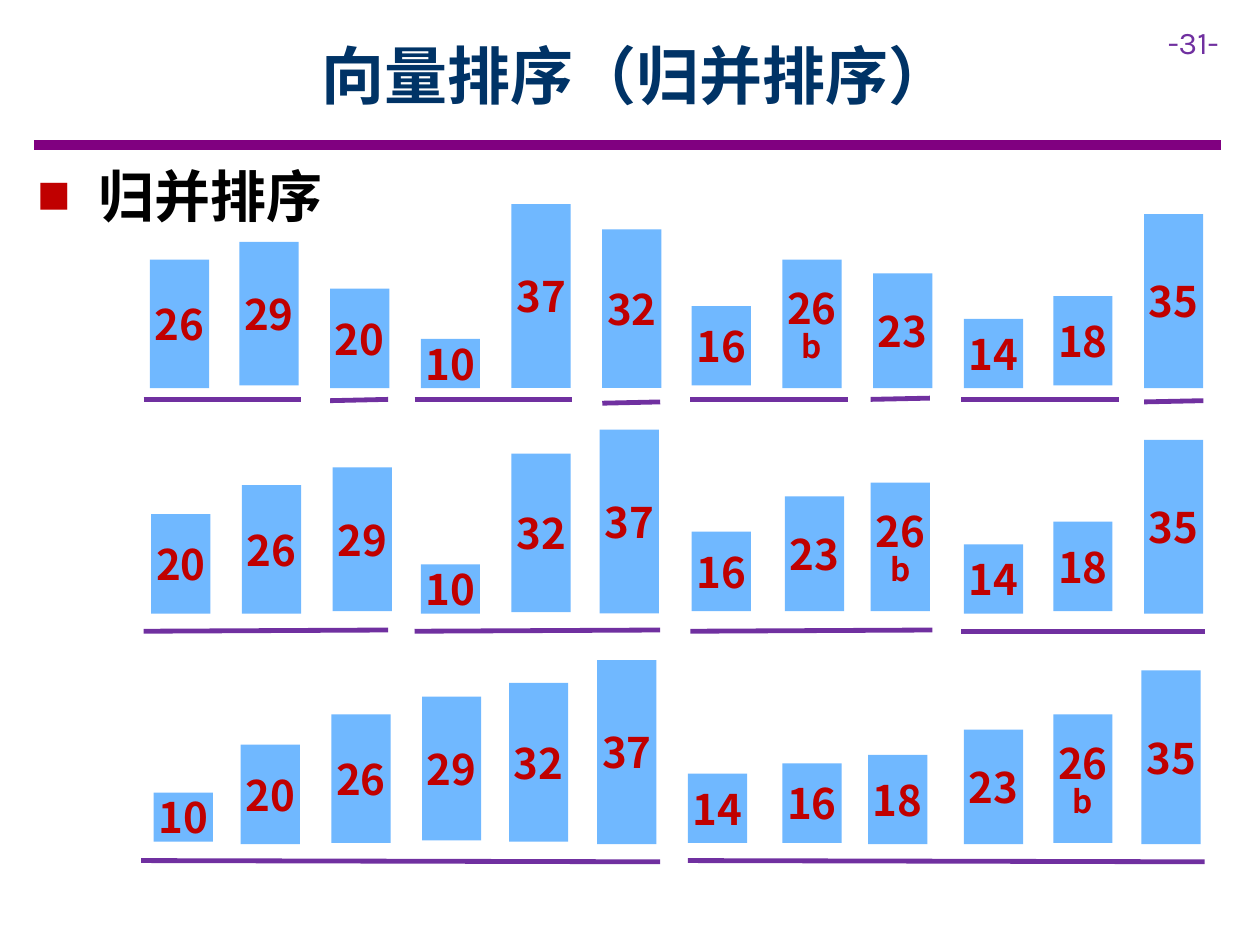
from dataclasses import dataclass

from pptx import Presentation
from pptx.dml.color import RGBColor
from pptx.enum.shapes import MSO_CONNECTOR, MSO_SHAPE
from pptx.enum.text import MSO_ANCHOR, PP_ALIGN
from pptx.oxml.ns import qn
from pptx.shapes.base import BaseShape
from pptx.slide import Slide
from pptx.util import Inches, Pt
from lxml.etree import SubElement

NAVY = RGBColor(0x00, 0x33, 0x66)
BLACK = RGBColor(0x00, 0x00, 0x00)
RED = RGBColor(0xC0, 0x00, 0x00)
SKY = RGBColor(0x70, 0xB8, 0xFF)
PURPLE = RGBColor(0x70, 0x30, 0xA0)
PLUM = RGBColor(0x80, 0x00, 0x80)
HEADING_FONT = "Noto Sans CJK SC"
NUMBER_FONT = "Karla"
BAR_WIDTH = 0.47
BAR_HEIGHTS = {
    "10": 0.39, "14": 0.55, "16": 0.63, "18": 0.71, "20": 0.79, "23": 0.91,
    "26": 1.02, "26b": 1.02, "29": 1.14, "32": 1.26, "35": 1.38, "37": 1.46,
}


@dataclass(frozen=True)
class Bar:
    label: str
    left: float
    top: float


@dataclass(frozen=True)
class Underline:
    left: float
    start: float
    right: float
    end: float


@dataclass(frozen=True)
class MergePass:
    bars: tuple[Bar, ...]
    underlines: tuple[Underline, ...]


PASSES = (
    MergePass(
        (
            Bar("26", 1.19, 2.06), Bar("29", 1.9, 1.92), Bar("20", 2.62, 2.29),
            Bar("10", 3.34, 2.69), Bar("37", 4.06, 1.62), Bar("32", 4.78, 1.82),
            Bar("16", 5.49, 2.43), Bar("26b", 6.21, 2.06), Bar("23", 6.93, 2.17),
            Bar("14", 7.65, 2.53), Bar("18", 8.36, 2.35), Bar("35", 9.08, 1.7),
        ),
        (
            Underline(1.14, 3.17, 2.39, 3.17), Underline(2.62, 3.18, 3.08, 3.17),
            Underline(3.29, 3.17, 4.54, 3.17), Underline(4.78, 3.2, 5.24, 3.19),
            Underline(5.48, 3.17, 6.73, 3.17), Underline(6.91, 3.17, 7.38, 3.16),
            Underline(7.63, 3.17, 8.88, 3.17), Underline(9.08, 3.19, 9.55, 3.18),
        ),
    ),
    MergePass(
        (
            Bar("20", 1.2, 4.08), Bar("26", 1.92, 3.85), Bar("29", 2.64, 3.71),
            Bar("10", 3.34, 4.48), Bar("32", 4.06, 3.6), Bar("37", 4.76, 3.41),
            Bar("16", 5.49, 4.22), Bar("23", 6.23, 3.94), Bar("26b", 6.91, 3.83),
            Bar("14", 7.65, 4.32), Bar("18", 8.36, 4.14), Bar("35", 9.08, 3.49),
        ),
        (
            Underline(1.14, 5.01, 3.08, 5), Underline(3.29, 5.01, 5.24, 5),
            Underline(5.48, 5.01, 7.4, 5), Underline(7.63, 5.01, 9.56, 5.01),
        ),
    ),
    MergePass(
        (
            Bar("10", 1.22, 6.29), Bar("20", 1.91, 5.91), Bar("26", 2.63, 5.67),
            Bar("29", 3.35, 5.53), Bar("32", 4.04, 5.42), Bar("37", 4.74, 5.24),
            Bar("14", 5.46, 6.14), Bar("16", 6.21, 6.06), Bar("18", 6.89, 5.99),
            Bar("23", 7.65, 5.79), Bar("26b", 8.36, 5.67), Bar("35", 9.06, 5.32),
        ),
        (Underline(1.12, 6.83, 5.24, 6.84), Underline(5.46, 6.83, 9.56, 6.84)),
    ),
)


def write_text(shape: BaseShape, text: str, *, size: float, color: RGBColor,
               font: str = HEADING_FONT, bold: bool = True, align=PP_ALIGN.CENTER,
               anchor=MSO_ANCHOR.MIDDLE, suffix: str = "", suffix_size: float = 18):
    frame = shape.text_frame
    frame.word_wrap = True
    frame.vertical_anchor = anchor
    lines = [(text, size)] + ([(suffix, suffix_size)] if suffix else [])
    for index, (line, points) in enumerate(lines):
        paragraph = frame.add_paragraph() if index else frame.paragraphs[0]
        paragraph.alignment = align
        if index:
            paragraph.line_spacing = 0.85
        run = paragraph.add_run()
        run.text = line
        run.font.name = font
        run.font.size = Pt(points)
        run.font.bold = bold
        run.font.color.rgb = color
        SubElement(run.font._element, qn("a:ea"), typeface=font)
    return frame


def add_box(slide: Slide, left: float, top: float, width: float, height: float) -> BaseShape:
    return slide.shapes.add_textbox(Inches(left), Inches(top), Inches(width), Inches(height))


def add_line(slide: Slide, line: Underline, color: RGBColor, width: float) -> None:
    connector = slide.shapes.add_connector(
        MSO_CONNECTOR.STRAIGHT, Inches(line.left), Inches(line.start),
        Inches(line.right), Inches(line.end))
    connector.line.color.rgb = color
    connector.line.width = Pt(width)
    SubElement(connector._element.spPr, qn("a:effectLst"))


def add_bar(slide: Slide, bar: Bar) -> None:
    shape = slide.shapes.add_shape(
        MSO_SHAPE.RECTANGLE, Inches(bar.left), Inches(bar.top),
        Inches(BAR_WIDTH), Inches(BAR_HEIGHTS[bar.label]))
    shape.shadow.inherit = False
    shape.fill.solid()
    shape.fill.fore_color.rgb = SKY
    shape.line.fill.background()
    frame = write_text(shape, bar.label[:2], size=24, color=RED, suffix=bar.label[2:])
    frame.margin_left = frame.margin_right = 0
    frame.margin_top = frame.margin_bottom = Inches(0.1)


def add_bullet(paragraph, symbol: str, color: RGBColor) -> None:
    properties = paragraph._p.get_or_add_pPr()
    properties.set("marL", str(Inches(0.38)))
    properties.set("indent", str(-Inches(0.38)))
    bullet_color = SubElement(properties, qn("a:buClr"))
    SubElement(bullet_color, qn("a:srgbClr"), val=str(color))
    SubElement(properties, qn("a:buSzPct"), val="60000")
    SubElement(properties, qn("a:buFont"), typeface=HEADING_FONT)
    SubElement(properties, qn("a:buChar"), char=symbol)


def main() -> None:
    presentation = Presentation()
    presentation.slide_width = Inches(10)
    presentation.slide_height = Inches(7.5)
    slide = presentation.slides.add_slide(presentation.slide_layouts[6])

    add_line(slide, Underline(0.27, 1.15, 9.69, 1.15), PLUM, 6)
    write_text(add_box(slide, 9.17, 0.13, 0.83, 0.4), "-31-", size=18, color=PURPLE,
               font=NUMBER_FONT, bold=False, align=PP_ALIGN.LEFT, anchor=MSO_ANCHOR.TOP)
    write_text(add_box(slide, 0.9, 0.09, 8.31, 1), "向量排序（归并排序）",
               size=36, color=NAVY)
    heading = write_text(add_box(slide, 0.2, 1.23, 9.45, 0.64), " 归并排序",
                         size=32, color=BLACK, align=PP_ALIGN.LEFT)
    add_bullet(heading.paragraphs[0], "■", RED)

    for merge_pass in PASSES:
        for bar in merge_pass.bars:
            add_bar(slide, bar)
        for underline in merge_pass.underlines:
            add_line(slide, underline, PURPLE, 2.75)

    presentation.save("out.pptx")


if __name__ == "__main__":
    main()
